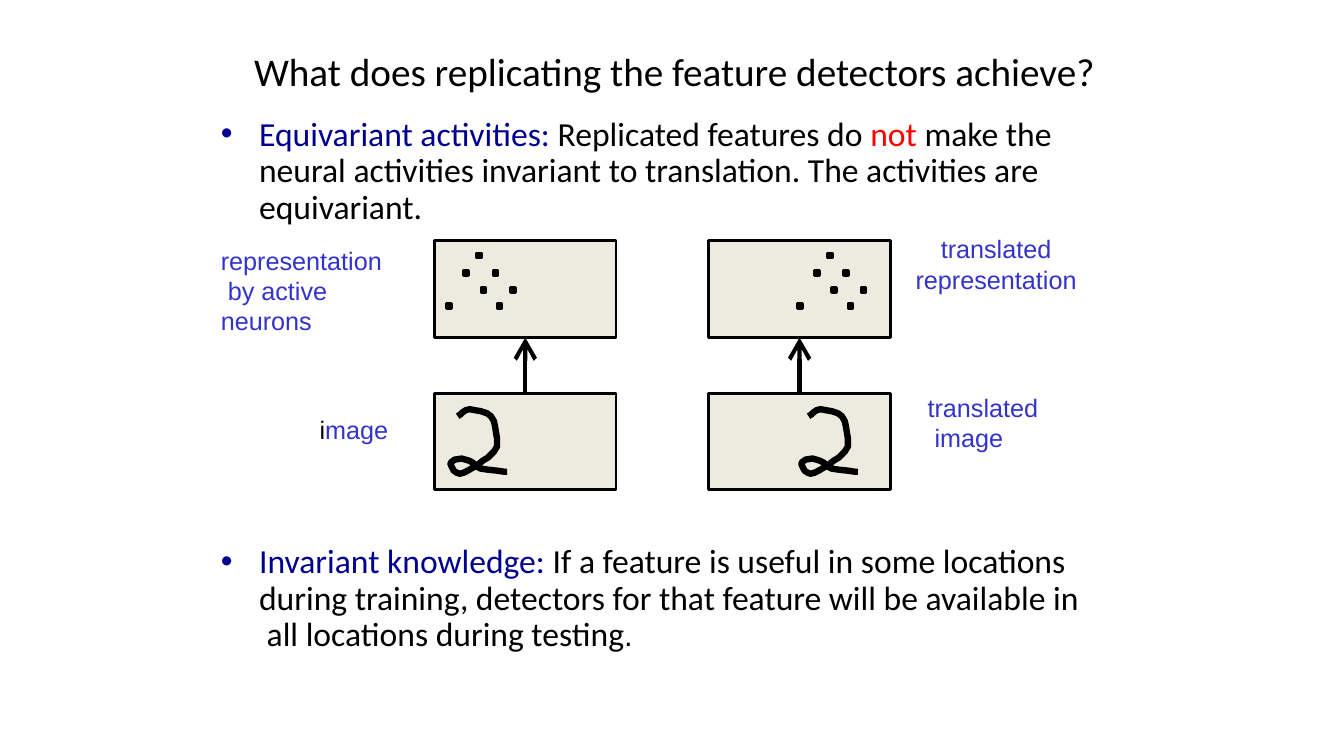
import pptx
import pptx.util
import pptx.dml.color
import pptx.enum.shapes
import pptx.enum.text
import pptx.oxml
import pptx.oxml.ns
from pptx.util import Inches, Pt

COLORS = {"black": "000000", "navy": "000090", "red": "FF0000",
          "label": "3333CC", "panel": "EDEBE0"}
PANEL_W, PANEL_H = 1.8, 0.96
NEURONS_TOP, IMAGE_TOP = 2.39, 3.9
DOT = 0.05

# Hundredths of an inch from the top left corner of a panel
ACTIVE_NEURONS = [(29, 29), (46, 46), (62, 62), (42, 12), (58, 29), (75, 46), (12, 62)]
DIGIT_TWO = [
    (23, 23), (26, 21), (28, 19), (31, 17), (35, 16), (40, 17), (46, 18), (52, 20),
    (56, 23), (59, 28), (60, 33), (61, 39), (62, 45), (62, 49), (62, 53), (59, 58),
    (56, 61), (53, 64), (48, 67), (43, 71), (38, 74), (33, 77), (29, 79), (25, 80),
    (22, 79), (19, 77), (18, 75), (17, 73), (16, 71), (16, 69), (20, 66), (27, 65),
    (34, 67), (38, 69), (42, 73), (46, 75), (53, 76), (62, 77), (69, 78), (72, 78)]


def rgb(name):
    return pptx.dml.color.RGBColor.from_string(COLORS[name])


def sub(parent, tag, **attrs):
    """Append a drawing element with attributes to parent."""
    el = pptx.oxml.parse_xml(f"<{tag} {pptx.oxml.ns.nsdecls('a')}/>")
    for key, value in attrs.items():
        el.set(key, value)
    parent.append(el)
    return el


def place(sp, left, top, width, height):
    sp.left, sp.top = Inches(left), Inches(top)
    sp.width, sp.height = Inches(width), Inches(height)


def frame_text(sp, inset):
    tf = sp.text_frame
    tf.word_wrap = True
    tf.auto_size = pptx.enum.text.MSO_AUTO_SIZE.NONE
    tf.vertical_anchor = pptx.enum.text.MSO_ANCHOR.TOP
    tf.margin_left = tf.margin_right = tf.margin_bottom = 0
    tf.margin_top = Inches(inset)
    return tf


def style_run(r, font, size, color):
    r.font.name = font
    r.font.size = Pt(size)
    r.font.color.rgb = rgb(color)


def add_title(s, text):
    sp = s.shapes.title
    place(sp, 2.52, 0.46, 8.6, 0.49)
    tf = frame_text(sp, 0.01)
    tf.text = text
    p = tf.paragraphs[0]
    p.alignment = pptx.enum.text.PP_ALIGN.LEFT
    style_run(p.runs[0], "Calibri", 28, "black")


def add_bullet(sp, top, parts):
    """Fill a body placeholder from (text, color, font, size) parts."""
    place(sp, 2.18, top, 8.7, 1.15)
    p = frame_text(sp, 0.06).paragraphs[0]
    pPr = p._p.get_or_add_pPr()
    pPr.set("marL", str(Inches(0.39)))
    pPr.set("indent", str(Inches(-0.38)))
    sub(sub(pPr, "a:buClr"), "a:srgbClr", val=COLORS["navy"])
    sub(pPr, "a:buFont", typeface="Arial")
    sub(pPr, "a:buChar", char="•")
    p.line_spacing = Pt(25.9)
    p.space_before = Pt(0)
    for text, color, font, size in parts:
        for i, line in enumerate(text.split("\v")):
            if i:
                p.add_line_break()
            r = p.add_run()
            r.text = line
            style_run(r, font, size, color)


def add_label(s, text, left, top, width, height, centered=False):
    sp = s.shapes.add_textbox(Inches(left), Inches(top), Inches(width), Inches(height))
    tf = frame_text(sp, 0.01)
    tf.text = text
    p = tf.paragraphs[0]
    if centered:
        p.alignment = pptx.enum.text.PP_ALIGN.CENTER
    for r in p.runs:
        style_run(r, "Arial", 18, "label")
    return p


def add_box(s, left, top, width, height, fill):
    sp = s.shapes.add_shape(pptx.enum.shapes.MSO_SHAPE.RECTANGLE, Inches(left),
                            Inches(top), Inches(width), Inches(height))
    sp.shadow.inherit = False
    sp.fill.solid()
    sp.fill.fore_color.rgb = rgb(fill)
    sp.line.color.rgb = rgb("black")
    sp.line.width = Pt(2.04)
    return sp


def add_digit(s, left, top):
    points = [(Inches(left + x / 100), Inches(top + y / 100)) for x, y in DIGIT_TWO]
    builder = s.shapes.build_freeform(*points[0])
    builder.add_line_segments(points[1:], close=False)
    sp = builder.convert_to_shape()
    sp.shadow.inherit = False
    sp.fill.background()
    sp.line.color.rgb = rgb("black")
    sp.line.width = Pt(4.56)


def add_arrow(s, start, end):
    """Join the top of start to the bottom of end."""
    cx = s.shapes.add_connector(pptx.enum.shapes.MSO_CONNECTOR.STRAIGHT, 0, 0, 0, 0)
    cx.begin_connect(start, 0)
    cx.end_connect(end, 2)
    cx.line.color.rgb = rgb("black")
    cx.line.width = Pt(3)
    sub(cx.line._get_or_add_ln(), "a:tailEnd", type="arrow", w="lg", len="lg")
    sub(cx._element.spPr, "a:effectLst")


def add_detector(s, left, shift):
    """Draw an image panel feeding a neuron panel, contents moved right by shift."""
    image = add_box(s, left, IMAGE_TOP, PANEL_W, PANEL_H, "panel")
    neurons = add_box(s, left, NEURONS_TOP, PANEL_W, PANEL_H, "panel")
    add_arrow(s, image, neurons)
    add_digit(s, left + shift, IMAGE_TOP)
    for x, y in ACTIVE_NEURONS:
        add_box(s, left + shift + x / 100, NEURONS_TOP + y / 100, DOT, DOT, "black")


def main():
    prs = pptx.Presentation()
    prs.slide_width, prs.slide_height = Inches(13.33), Inches(7.5)
    s = prs.slides.add_slide(prs.slide_layouts.get_by_name("Two Content"))
    add_title(s, "What does replicating the feature detectors achieve?")
    add_bullet(s.placeholders[1], 1.1, [
        ("Equivariant activities: ", "navy", "Calibri", 24),
        ("Replicated features do ", "black", "Calibri", 24),
        ("not ", "red", "Calibri", 24),
        ("make the\vneural activities invariant to translation. The activities are"
         "\vequivariant.", "black", "Calibri", 24)])
    add_bullet(s.placeholders[2], 5.34, [
        ("Invariant knowledge: ", "navy", "Calibri", 24),
        ("If a feature is useful in some locations\vduring training, detectors for "
         "that feature will be available in\v all locations during testing",
         "black", "Calibri", 24),
        (".", "black", "Arial", 22)])

    add_detector(s, 4.31, 0)
    add_detector(s, 7.03, 0.76)

    add_label(s, "representation\v by active\vneurons", 2.19, 2.42, 1.8, 0.93)
    p = add_label(s, "image", 3.17, 4.1, 0.9, 0.33)
    p.text = "i"
    p.add_run().text = "mage"
    for r, color in zip(p.runs, ("black", "label")):
        style_run(r, "Arial", 18, color)
    add_label(s, "translated\vrepresentation", 8.98, 2.31, 1.8, 0.63, centered=True)
    add_label(s, "translated\v image", 9.2, 3.88, 1.3, 0.63)
    prs.save("out.pptx")


if __name__ == "__main__":
    main()
